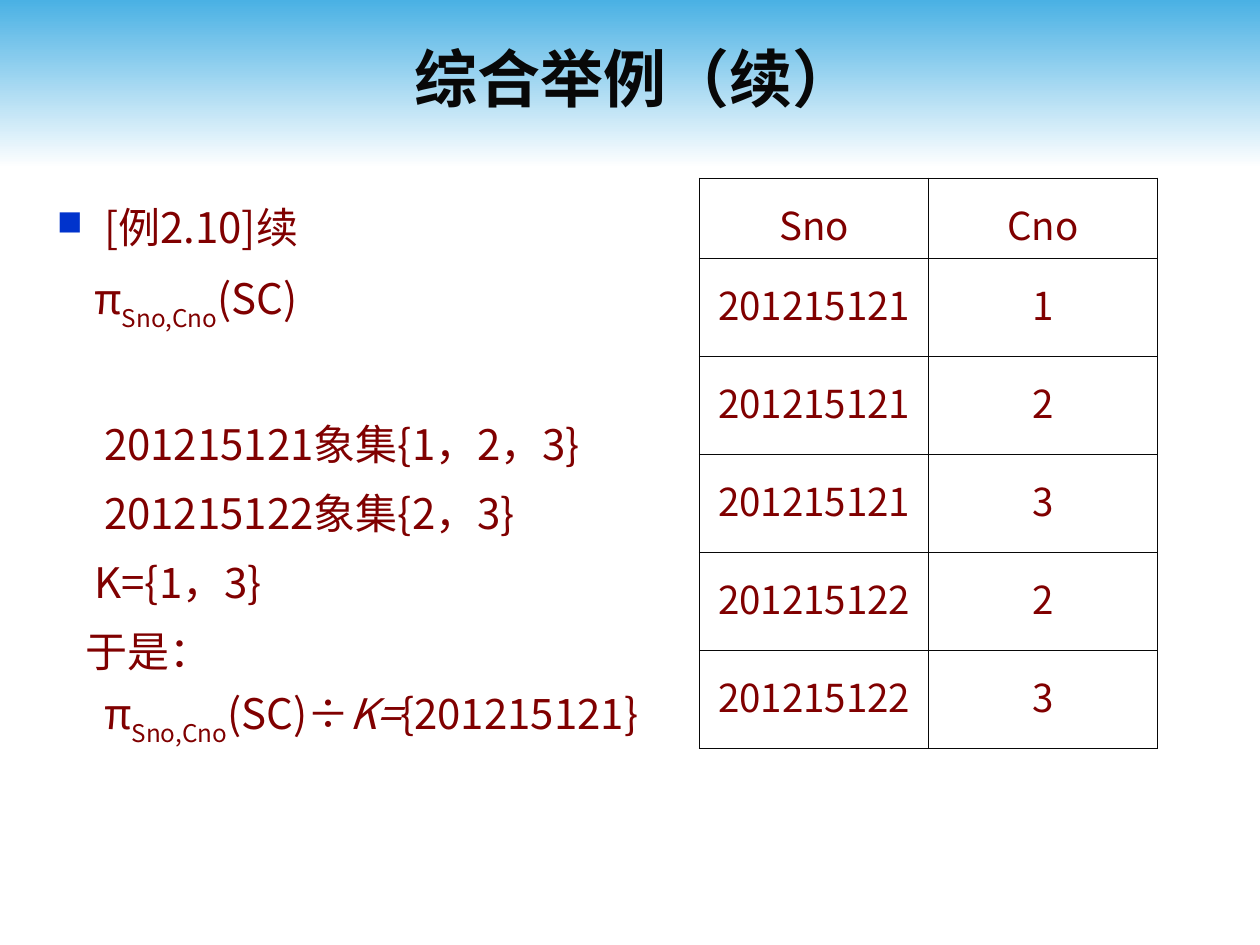
"""Build the slide on the worked example of relational division."""
import lxml.etree
import pptx
import pptx.dml.color
import pptx.enum.shapes
import pptx.enum.text
import pptx.oxml.ns
import pptx.util

Pt = pptx.util.Pt
qn = pptx.oxml.ns.qn
CENTER = pptx.enum.text.PP_ALIGN.CENTER
FONT = "Noto Sans CJK SC"
MAROON, INK, BLUE = "800000", "080808", "0033CC"


def rgb(value):
    return pptx.dml.color.RGBColor.from_string(value)


def write(paragraph, text, size=24, color=MAROON, bold=False, italic=False, baseline=0):
    run = paragraph.add_run()
    run.text = text
    run.font.size = Pt(size)
    run.font.bold = bold
    run.font.italic = italic
    run.font.name = FONT
    run.font.color.rgb = rgb(color)
    properties = run.font._element
    lxml.etree.SubElement(properties, qn("a:ea"), typeface=FONT)
    if baseline:
        properties.set("baseline", str(baseline * 1000))


presentation = pptx.Presentation()
presentation.slide_width, presentation.slide_height = Pt(720), Pt(540)
slide = presentation.slides.add_slide(presentation.slide_layouts[5])

band = slide.shapes.add_shape(pptx.enum.shapes.MSO_SHAPE.RECTANGLE, 0, 0, Pt(720), Pt(96))
band.shadow.inherit = False
band.line.fill.background()
band.fill.gradient()
band.fill.gradient_angle = 270
for stop, color, position in zip(band.fill.gradient_stops, ("4AB1E4", "FFFFFF"), (0, 1)):
    stop.color.rgb = rgb(color)
    stop.position = position
slide.shapes.element.insert(2, band._element)

title = slide.shapes.title
title.left, title.top, title.width, title.height = Pt(72), Pt(27), Pt(582), Pt(34)
title.text_frame.auto_size = pptx.enum.text.MSO_AUTO_SIZE.NONE
title.text_frame.vertical_anchor = pptx.enum.text.MSO_ANCHOR.MIDDLE
heading = title.text_frame.paragraphs[0]
heading.alignment = CENTER
write(heading, "综合举例（续）", size=36, color=INK, bold=True)

projection = [("Sno,Cno", {"baseline": -30})]
steps = [
    (-27, 0, [("[例2.10]续", {})]),
    (-5.5, 4.8, [("π", {}), *projection, ("(SC)", {})]),
    (0, 44, [("201215121象集{1，2，3}", {})]),
    (0, 4.8, [("201215122象集{2，3}", {})]),
    (-5.5, 4.8, [("K={1，3}", {})]),
    (-10.5, 4.8, [("于是：π", {}), *projection, ("(SC)÷", {}),
                  ("K=", {"italic": True}), ("{201215121}", {})]),
]
solution = slide.shapes.add_textbox(Pt(25.2), Pt(106), Pt(374.4), Pt(392.4)).text_frame
solution.word_wrap = True
for number, (indent, space, pieces) in enumerate(steps):
    step = solution.add_paragraph() if number else solution.paragraphs[0]
    layout = step._p.get_or_add_pPr()
    layout.set("marL", str(Pt(27.2)))
    layout.set("indent", str(Pt(indent)))
    if number:
        step.space_before = Pt(space)
    else:
        bullet_color = lxml.etree.SubElement(layout, qn("a:buClr"))
        lxml.etree.SubElement(bullet_color, qn("a:srgbClr"), val=BLUE)
        lxml.etree.SubElement(layout, qn("a:buSzPct"), val="83000")
        lxml.etree.SubElement(layout, qn("a:buChar"), char="■")
    step.line_spacing = 1.2
    for text, style in pieces:
        write(step, text, **style)

records = [("Sno", "Cno"), ("201215121", "1"), ("201215121", "2"), ("201215121", "3"),
           ("201215122", "2"), ("201215122", "3")]
selection = slide.shapes.add_table(6, 2, Pt(399.8), Pt(102), Pt(261.6), Pt(325.7)).table
selection.first_row = selection.horz_banding = False
for column in selection.columns:
    column.width = Pt(130.8)
for row, record in enumerate(records):
    selection.rows[row].height = Pt(56 if row else 45.7)
    for column, value in enumerate(record):
        cell = selection.cell(row, column)
        entry = cell.text_frame.paragraphs[0]
        entry.alignment = CENTER
        entry.line_spacing = 1.2
        write(entry, value, size=22)
        borders = cell._tc.get_or_add_tcPr()
        for side in ("lnL", "lnR", "lnT", "lnB"):
            border = lxml.etree.SubElement(borders, qn(f"a:{side}"), w=str(Pt(1)))
            paint = lxml.etree.SubElement(border, qn("a:solidFill"))
            lxml.etree.SubElement(paint, qn("a:srgbClr"), val=INK)
        cell.fill.background()

presentation.save("out.pptx")
